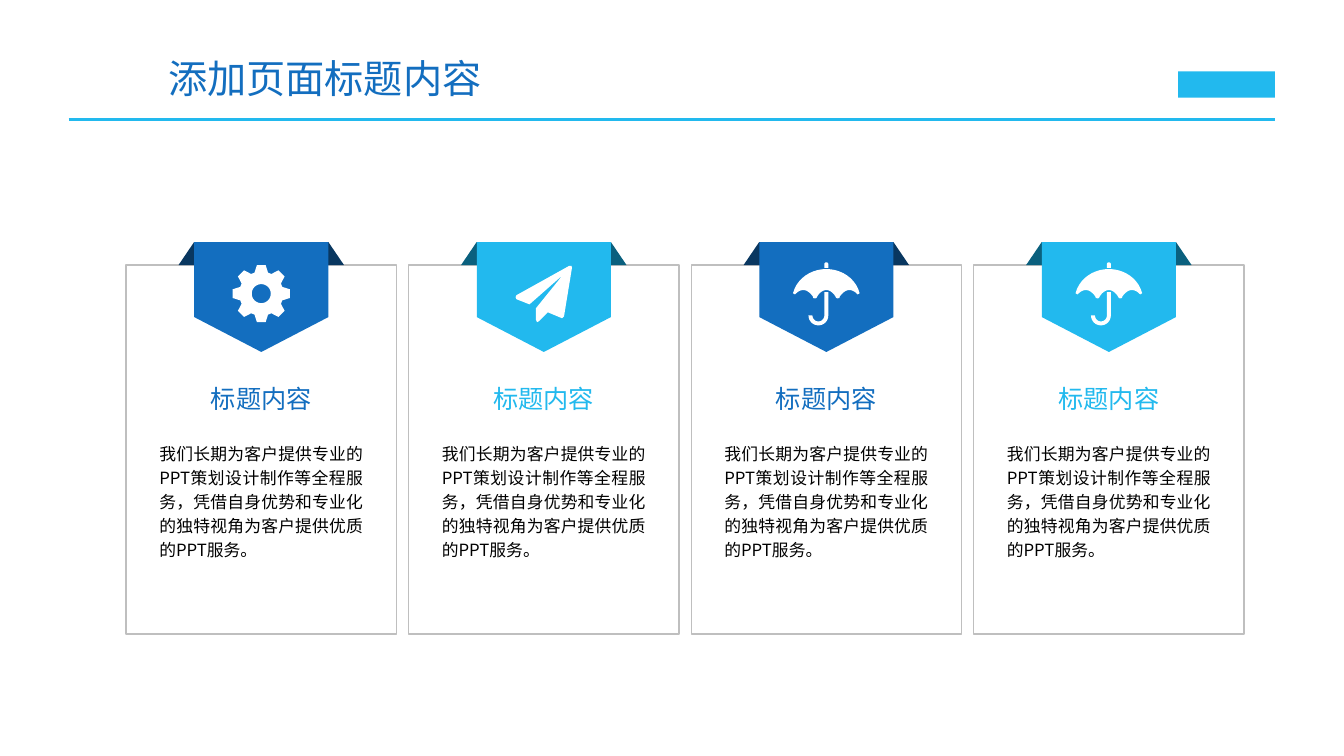
from math import cos, radians, sin

from lxml import etree
from pptx import Presentation
from pptx.dml.color import RGBColor
from pptx.enum.shapes import MSO_CONNECTOR, MSO_SHAPE
from pptx.enum.text import MSO_ANCHOR, MSO_AUTO_SIZE, PP_ALIGN
from pptx.oxml.ns import qn
from pptx.util import Cm, Pt

RECT, TRAPEZOID, PENTAGON = MSO_SHAPE.RECTANGLE, MSO_SHAPE.TRAPEZOID, MSO_SHAPE.PENTAGON
STRAIGHT = MSO_CONNECTOR.STRAIGHT
LEFT, CENTER, JUSTIFY = PP_ALIGN.LEFT, PP_ALIGN.CENTER, PP_ALIGN.JUSTIFY
TOP, MIDDLE = MSO_ANCHOR.TOP, MSO_ANCHOR.MIDDLE
FIT_SHAPE = MSO_AUTO_SIZE.SHAPE_TO_FIT_TEXT

FONT = "Noto Sans CJK SC"
COLORS = {
    "blue": "136EBF", "blue_fold": "093760",
    "cyan": "22B9EE", "cyan_fold": "0A607E",
    "border": "BFBFBF", "white": "FFFFFF", "black": "000000",
}
HEADING = "标题内容"
BODY = ("我们长期为客户提供专业的PPT策划设计制作等全程服务，"
        "凭借自身优势和专业化的独特视角为客户提供优质的PPT服务。")

CARD_LEFT, CARD_TOP, CARD_W, CARD_H, CARD_PITCH = 3.18, 6.68, 6.81, 9.3, 7.12
RIBBON_TOP, RIBBON_W, RIBBON_H = 6.1, 3.38, 2.77
FOLD_W, FOLD_H = 4.17, 0.58
ICON_Y = 7.4
UNITS_PER_CM = 1000


def arc(cx, cy, r, start, end, steps=16):
    angles = [radians(start + (end - start) * i / steps) for i in range(steps + 1)]
    return [(cx + r * cos(a), cy + r * sin(a)) for a in angles]


def bezier(p0, p1, p2, p3, steps=10):
    points = []
    for i in range(steps + 1):
        t = i / steps
        weights = ((1 - t) ** 3, 3 * t * (1 - t) ** 2, 3 * t * t * (1 - t), t ** 3)
        points.append(tuple(sum(w * p[axis] for w, p in zip(weights, (p0, p1, p2, p3)))
                            for axis in (0, 1)))
    return points


# Icon functions return closed outlines in cm around the icon centre.
def gear():
    tooth = [(-0.17, -0.53), (-0.11, -0.72), (0.11, -0.72), (0.17, -0.53)]
    outline = []
    for i in range(8):
        a = radians(45 * i)
        outline += [(x * cos(a) - y * sin(a), x * sin(a) + y * cos(a)) for x, y in tooth]
    return [outline, arc(0, 0, 0.24, 0, 360, 32)]


def paper_plane():
    return [[(0.71, -0.65), (0.51, 0.57), (0.46, 0.62), (0.1, 0.47), (-0.13, 0.7),
             (-0.17, 0.72), (-0.2, 0.65), (-0.2, 0.37), (0.48, -0.47), (-0.36, 0.27),
             (-0.69, 0.14), (-0.71, 0.09), (-0.69, 0.04), (0.64, -0.7), (0.7, -0.7)]]


def umbrella():
    right = (bezier((0, -0.62), (0.38, -0.62), (0.74, -0.39), (0.84, -0.01))
             + bezier((0.79, 0.02), (0.72, -0.05), (0.66, -0.09), (0.58, -0.09))
             + bezier((0.58, -0.09), (0.48, -0.09), (0.4, -0.01), (0.34, 0.07))
             + [(0.33, 0.11), (0.28, 0.12)]
             + bezier((0.25, 0.11), (0.2, 0), (0.1, -0.09), (0, -0.09)))
    canopy = right + [(-x, y) for x, y in reversed(right)]
    handle = (arc(-0.2, 0.55, 0.25, 0, 180) + arc(-0.2, 0.55, 0.15, 180, 0)
              + [(-0.05, -0.04), (0.05, -0.04)])
    tip = arc(0, -0.74, 0.05, 180, 360) + [(0.05, -0.65), (-0.05, -0.65)]
    return [canopy, handle, tip]


def rgb(name):
    return RGBColor.from_string(COLORS[name])


def write(tf, text, size=12, color="black", align=LEFT, spacing=None):
    p = tf.paragraphs[0]
    p.alignment = align
    if spacing:
        p.line_spacing = spacing
    r = p.add_run()
    r.text = text
    r.font.name, r.font.size = FONT, Pt(size)
    r.font.color.rgb = rgb(color)
    etree.SubElement(r.font._element, qn("a:ea"), typeface=FONT)


class Deck:
    """Draws on one slide; every length is in cm."""

    def __init__(self):
        self.prs = Presentation()
        self.prs.slide_width, self.prs.slide_height = Cm(33.87), Cm(19.05)
        self.slide = self.prs.slides.add_slide(self.prs.slide_layouts[6])

    def paint(self, sp, fill=None, line=None):
        sp.shadow.inherit = False
        if fill:
            sp.fill.solid()
            sp.fill.fore_color.rgb = rgb(fill)
        else:
            sp.fill.background()
        if line:
            sp.line.color.rgb = rgb(line)
            sp.line.width = Pt(1)
        else:
            sp.line.fill.background()

    def shape(self, parent, kind, x, y, w, h, adj=None, rotation=0, **style):
        sp = parent.shapes.add_shape(kind, Cm(x), Cm(y), Cm(w), Cm(h))
        if adj is not None:
            sp.adjustments[0] = adj
        sp.rotation = rotation
        self.paint(sp, **style)

    def icon(self, parent, outlines, x, y):
        contours = [[(round(px * UNITS_PER_CM), round(py * UNITS_PER_CM)) for px, py in outline]
                    for outline in outlines]
        builder = parent.shapes.build_freeform(*contours[0][0], scale=Cm(1) / UNITS_PER_CM)
        for i, points in enumerate(contours):
            if i:
                builder.move_to(*points[0])
            builder.add_line_segments(points[1:], close=True)
        self.paint(builder.convert_to_shape(Cm(x), Cm(y)), fill="white")

    def rule(self, x1, x2, y, color, width):
        line = self.slide.shapes.add_connector(STRAIGHT, Cm(x1), Cm(y), Cm(x2), Cm(y))
        line.line.color.rgb = rgb(color)
        line.line.width = Pt(width)
        etree.SubElement(line._element.spPr, qn("a:effectLst"))

    def text(self, x, y, w, h, text, anchor=TOP, **style):
        tf = self.slide.shapes.add_textbox(Cm(x), Cm(y), Cm(w), Cm(h)).text_frame
        tf.word_wrap = True
        tf.auto_size = FIT_SHAPE
        tf.vertical_anchor = anchor
        write(tf, text, **style)

    def card(self, index, color, outlines):
        left = CARD_LEFT + index * CARD_PITCH
        mid = left + CARD_W / 2
        group = self.slide.shapes.add_group_shape()
        self.shape(group, RECT, left, CARD_TOP, CARD_W, CARD_H, line="border")
        self.shape(group, TRAPEZOID, mid - FOLD_W / 2, RIBBON_TOP, FOLD_W, FOLD_H,
                   adj=0.679, fill=color + "_fold")
        # The ribbon is turned a quarter, so its own width runs downwards.
        self.shape(group, PENTAGON, mid - RIBBON_H / 2,
                   RIBBON_TOP + (RIBBON_H - RIBBON_W) / 2, RIBBON_H, RIBBON_W,
                   adj=0.317, rotation=90, fill=color)
        self.icon(group, outlines, mid, ICON_Y)
        self.text(mid - 1.84, 9.53, 3.68, 1.02, HEADING, size=18, color=color, align=CENTER)
        self.text(mid - 2.82, 10.95, 5.64, 3.33, BODY, align=JUSTIFY, spacing=1.2)


def main():
    deck = Deck()
    deck.rule(1.73, 32.13, 3.02, "cyan", 2)
    deck.shape(deck.slide, RECT, 29.69, 1.8, 2.44, 0.66, fill="cyan")
    deck.text(3.99, 1.24, 8.94, 1.45, "添加页面标题内容", anchor=MIDDLE, size=28, color="blue")
    cards = [("blue", gear), ("cyan", paper_plane), ("blue", umbrella), ("cyan", umbrella)]
    for index, (color, draw) in enumerate(cards):
        deck.card(index, color, draw())
    deck.prs.save("out.pptx")


if __name__ == "__main__":
    main()
